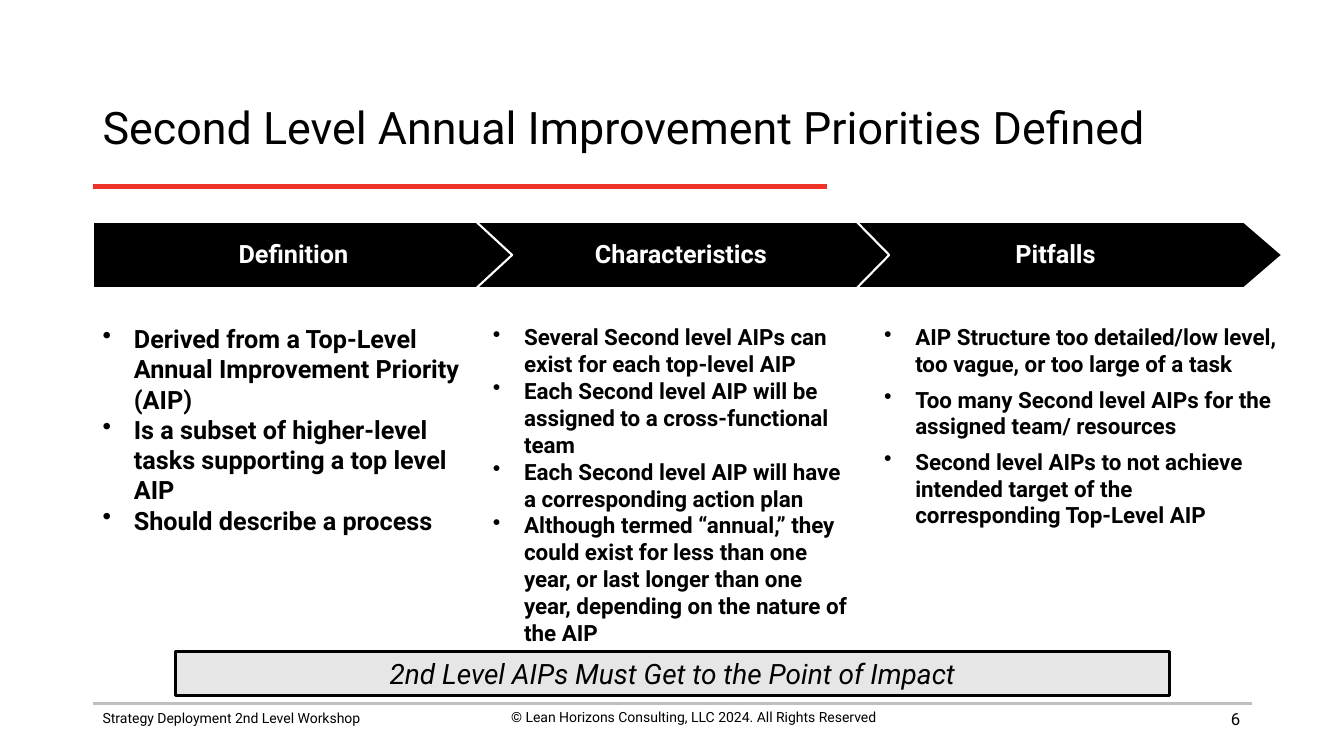
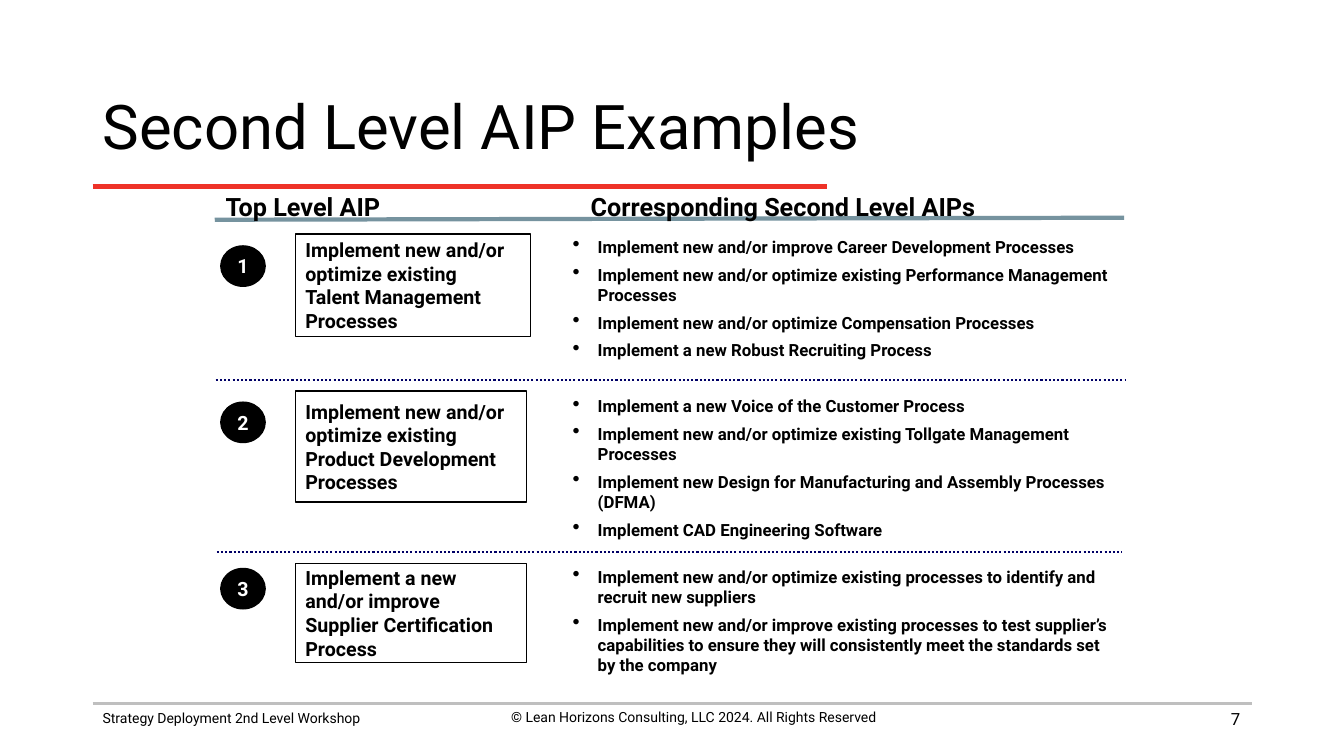
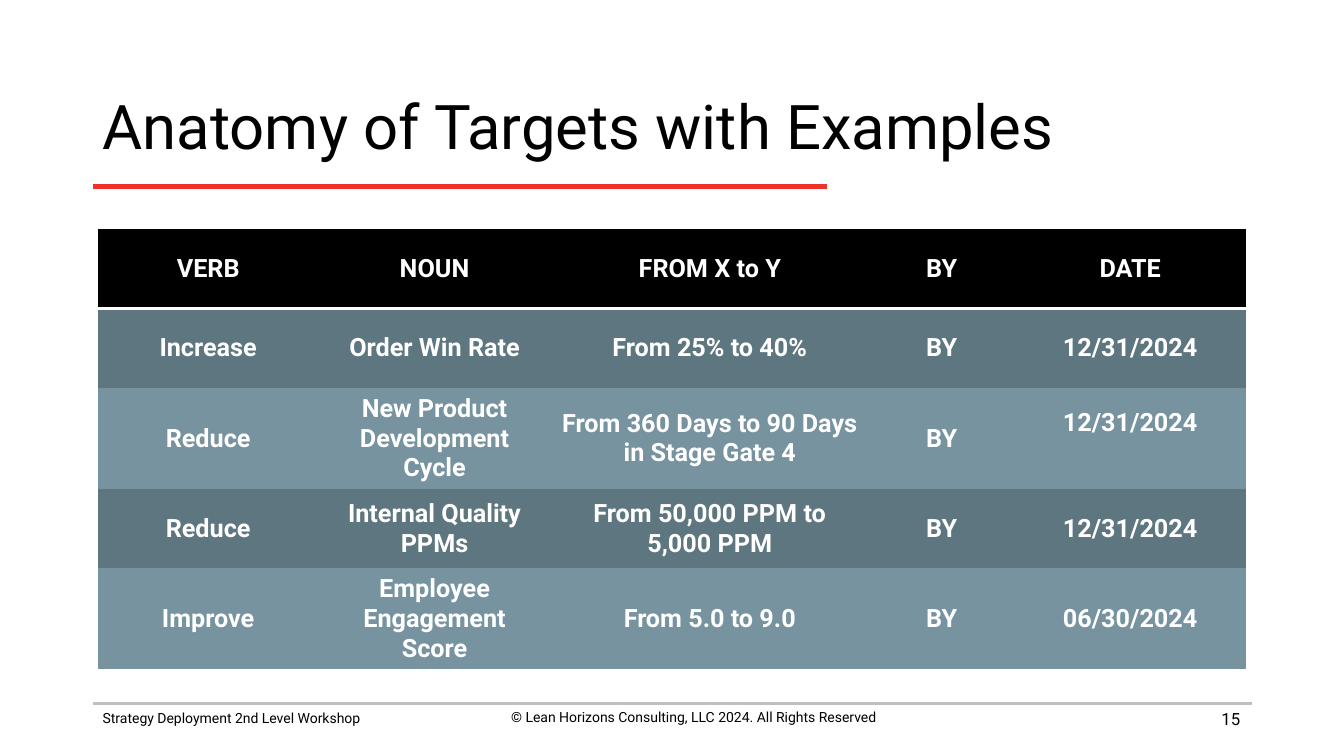
"""Build three workshop slides on second level annual improvement priorities."""
from lxml.etree import SubElement
from pptx import Presentation
from pptx.dml.color import RGBColor
from pptx.enum.dml import MSO_LINE
from pptx.enum.shapes import MSO_CONNECTOR, MSO_SHAPE
from pptx.enum.text import MSO_ANCHOR as ANCHOR, PP_ALIGN as ALIGN
from pptx.oxml import parse_xml
from pptx.oxml.ns import nsdecls, qn
from pptx.util import Inches, Pt

FONT = "Roboto"
BLACK = RGBColor(0x00, 0x00, 0x00)
WHITE = RGBColor(0xFF, 0xFF, 0xFF)
RED = RGBColor(0xEE, 0x32, 0x28)
GREY = RGBColor(0xBF, 0xBF, 0xBF)
PALE = RGBColor(0xE7, 0xE6, 0xE6)
NAVY = RGBColor(0x00, 0x00, 0x66)
SLATE = RGBColor(0x76, 0x93, 0x9F)
DARK_SLATE = RGBColor(0x5E, 0x76, 0x7F)
NO_STYLE = "{2D5ABB26-0587-4C30-8999-92F81FD0307C}"


def write(box, lines, size, color=BLACK, bold=False, italic=False, align=ALIGN.LEFT,
          anchor=ANCHOR.TOP, spacing=None, gap=0, hang=0, bullet_size=100):
    """Fill a box with one paragraph per line, bulleted when hang is given."""
    frame = box.text_frame
    frame.word_wrap = True
    frame.vertical_anchor = anchor
    for index, line in enumerate(lines):
        para = frame.paragraphs[0] if index == 0 else frame.add_paragraph()
        para.text = line
        para.alignment = align
        if spacing:
            para.line_spacing = spacing
        if index and gap:
            para.space_before = Pt(gap)
        if hang:
            props = para._p.get_or_add_pPr()
            props.set("marL", str(Inches(hang)))
            props.set("indent", str(-Inches(hang)))
            SubElement(props, qn("a:buSzPct")).set("val", str(bullet_size * 1000))
            SubElement(props, qn("a:buChar")).set("char", "•")
        para.font.name = FONT
        para.font.size = Pt(size)
        para.font.bold = bold
        para.font.italic = italic
        para.font.color.rgb = color


def draw_line(page, start, end, color, width):
    """Draw a straight line without a shadow."""
    line = page.shapes.add_connector(
        MSO_CONNECTOR.STRAIGHT, *[Inches(value) for value in (*start, *end)])
    line.line.color.rgb = color
    line.line.width = Pt(width)
    SubElement(line._element.spPr, qn("a:effectLst"))
    return line


deck = Presentation()
deck.slide_width, deck.slide_height = Inches(13.33), Inches(7.5)

pages = []
for title, size, number in (
    ("Second Level Annual Improvement Priorities Defined", 32, "6"),
    ("Second Level AIP Examples", 44, "7"),
    ("Anatomy of Targets with Examples", 44, "15"),
):
    page = deck.slides.add_slide(deck.slide_layouts[6])
    pages.append(page)
    draw_line(page, (0.92, 6.98), (12.42, 6.98), GREY, 2)
    draw_line(page, (0.92, 1.85), (8.2, 1.85), RED, 3)
    box = page.shapes.add_textbox(Inches(0.92), Inches(0.74), Inches(11.5), Inches(1.1))
    write(box, [title], size, anchor=ANCHOR.MIDDLE, spacing=0.9)
    box = page.shapes.add_textbox(Inches(0.92), Inches(6.99), Inches(4.56), Inches(0.27))
    write(box, ["Strategy Deployment 2nd Level Workshop"], 10)
    box = page.shapes.add_textbox(Inches(4.6), Inches(6.98), Inches(4.56), Inches(0.44))
    write(box, ["© Lean Horizons Consulting, LLC 2024. All Rights Reserved"], 10,
          align=ALIGN.CENTER)
    box = page.shapes.add_textbox(Inches(9.4), Inches(6.93), Inches(3), Inches(0.4))
    write(box, [number], 12, align=ALIGN.RIGHT, anchor=ANCHOR.MIDDLE)

defined, examples, anatomy = pages

for label, left, width, point, indent in (
    ("Pitfalls", 8.41, 4.31, 0.58, 0),
    ("Characteristics", 4.66, 4.16, 0.49, 0.19),
    ("Definition", 0.92, 4.16, 0.54, 0),
):
    arrow = defined.shapes.add_shape(
        MSO_SHAPE.PENTAGON, Inches(left), Inches(2.2), Inches(width), Inches(0.66))
    arrow.adjustments[0] = point
    arrow.shadow.inherit = False
    arrow.fill.solid()
    arrow.fill.fore_color.rgb = BLACK
    arrow.line.color.rgb = WHITE
    arrow.line.width = Pt(1.5)
    frame = arrow.text_frame
    frame.margin_left = frame.margin_right = Inches(0.05)
    write(arrow, [label], 18, WHITE, bold=True, align=ALIGN.CENTER,
          anchor=ANCHOR.MIDDLE, spacing=0.95)
    frame.paragraphs[0]._p.get_or_add_pPr().set("marL", str(Inches(indent)))

for left, width, height, size, gap, points in (
    (0.92, 3.74, 2.22, 18, 0, [
        "Derived from a Top-Level Annual Improvement Priority (AIP)",
        "Is a subset of higher-level tasks supporting a top level AIP",
        "Should describe a process"]),
    (4.79, 3.74, 3.33, 16, 0, [
        "Several Second level AIPs can exist for each top-level AIP",
        "Each Second level AIP will be assigned to a cross-functional team",
        "Each Second level AIP will have a corresponding action plan",
        "Although termed “annual,” they could exist for less than one year, "
        "or last longer than one year, depending on the nature of the AIP"]),
    (8.67, 4.16, 2.15, 16, 6, [
        "AIP Structure too detailed/low level, too vague, or too large of a task",
        "Too many Second level AIPs for the assigned team/ resources",
        "Second level AIPs to not achieve intended target of the corresponding "
        "Top-Level AIP"]),
):
    box = defined.shapes.add_textbox(Inches(left), Inches(3.16), Inches(width), Inches(height))
    write(box, points, size, bold=True, gap=gap, hang=0.31)

banner = defined.shapes.add_shape(
    MSO_SHAPE.RECTANGLE, Inches(1.74), Inches(6.46), Inches(9.86), Inches(0.44))
banner.shadow.inherit = False
banner.fill.solid()
banner.fill.fore_color.rgb = PALE
banner.line.color.rgb = BLACK
banner.line.width = Pt(2)
write(banner, ["2nd Level AIPs Must Get to the Point of Impact"], 20, italic=True,
      align=ALIGN.CENTER, anchor=ANCHOR.BOTTOM)

draw_line(examples, (2.13, 2.18), (11.15, 2.16), SLATE, 3)
for heading, left in (("Top Level AIP", 2.14), ("Corresponding Second Level AIPs", 5.76)):
    box = examples.shapes.add_textbox(Inches(left), Inches(1.85), Inches(4.1), Inches(0.4))
    write(box, [heading], 18, bold=True)

for start, end in (((2.14, 3.77), (11.16, 3.77)), ((2.15, 5.48), (11.13, 5.48))):
    divider = draw_line(examples, start, end, NAVY, 1.5)
    divider.line.dash_style = MSO_LINE.ROUND_DOT

for number, (goal, goal_top, goal_width, goal_height, badge_top, list_top, points) in enumerate((
    ("Implement new and/or\voptimize existing\vTalent Management\vProcesses",
     2.32, 2.33, 1.02, 2.44, 2.3, [
         "Implement new and/or improve Career Development Processes",
         "Implement new and/or optimize existing Performance Management Processes",
         "Implement new and/or optimize Compensation Processes",
         "Implement a new Robust Recruiting Process"]),
    ("Implement new and/or\voptimize existing\vProduct Development\vProcesses",
     3.88, 2.29, 1.1, 3.99, 3.88, [
         "Implement a new Voice of the Customer Process",
         "Implement new and/or optimize existing Tollgate Management Processes",
         "Implement new Design for Manufacturing and Assembly Processes (DFMA)",
         "Implement CAD Engineering Software"]),
    ("Implement a new\vand/or improve\vSupplier Certification\vProcess",
     5.59, 2.29, 0.98, 5.64, 5.57, [
         "Implement new and/or optimize existing processes to identify and "
         "recruit new suppliers",
         "Implement new and/or improve existing processes to test supplier’s "
         "capabilities to ensure they will consistently meet the standards set "
         "by the company"]),
), 1):
    card = examples.shapes.add_shape(
        MSO_SHAPE.RECTANGLE, Inches(2.93), Inches(goal_top), Inches(goal_width),
        Inches(goal_height))
    card.fill.background()
    badge = examples.shapes.add_shape(
        MSO_SHAPE.OVAL, Inches(2.19), Inches(badge_top), Inches(0.44), Inches(0.4))
    badge.fill.solid()
    badge.fill.fore_color.rgb = BLACK
    for shape in (card, badge):
        shape.shadow.inherit = False
        shape.line.color.rgb = BLACK
        shape.line.width = Pt(1)
    write(card, [goal], 14, bold=True, anchor=ANCHOR.MIDDLE)
    write(badge, [str(number)], 14, WHITE, bold=True, align=ALIGN.CENTER, anchor=ANCHOR.MIDDLE)
    badge.text_frame.word_wrap = False
    box = examples.shapes.add_textbox(
        Inches(5.58), Inches(list_top), Inches(5.58), Inches(1.36))
    write(box, points, 12, bold=True, gap=5.4, hang=0.25, bullet_size=125)

rows = (
    ("VERB", "NOUN", "FROM X to Y", "BY", "DATE"),
    ("Increase", "Order Win Rate", "From 25% to 40%", "BY", "12/31/2024"),
    ("Reduce", "New Product Development Cycle", "From 360 Days to 90 Days in Stage Gate 4",
     "BY", "12/31/2024"),
    ("Reduce", "Internal Quality PPMs", "From 50,000 PPM to 5,000 PPM", "BY", "12/31/2024"),
    ("Improve", "Employee Engagement Score", "From 5.0 to 9.0", "BY", "06/30/2024"),
)
table = anatomy.shapes.add_table(
    5, 5, Inches(0.97), Inches(2.27), Inches(11.39), Inches(4.31)).table
table._tbl.tblPr.find(qn("a:tableStyleId")).text = NO_STYLE
for column, width in zip(table.columns, (2.19, 2.3, 3.16, 1.44, 2.3)):
    column.width = Inches(width)
for row, height in zip(table.rows, (0.79, 0.79, 0.97, 0.79, 0.97)):
    row.height = Inches(height)
for row_index, row in enumerate(rows):
    for column_index, text in enumerate(row):
        cell = table.cell(row_index, column_index)
        write(cell, [text], 18, WHITE, bold=True, align=ALIGN.CENTER)
        cell.vertical_anchor = ANCHOR.MIDDLE
        cell.fill.solid()
        cell.fill.fore_color.rgb = (
            BLACK if row_index == 0 else DARK_SLATE if row_index % 2 else SLATE)
        if row_index == 0:
            border = parse_xml(
                f'<a:lnB {nsdecls("a")} w="{Pt(2)}"><a:solidFill>'
                f'<a:srgbClr val="{WHITE}"/></a:solidFill></a:lnB>')
            cell._tc.get_or_add_tcPr().insert(0, border)
table.cell(2, 4).margin_bottom = Inches(0.35)

deck.save("out.pptx")
